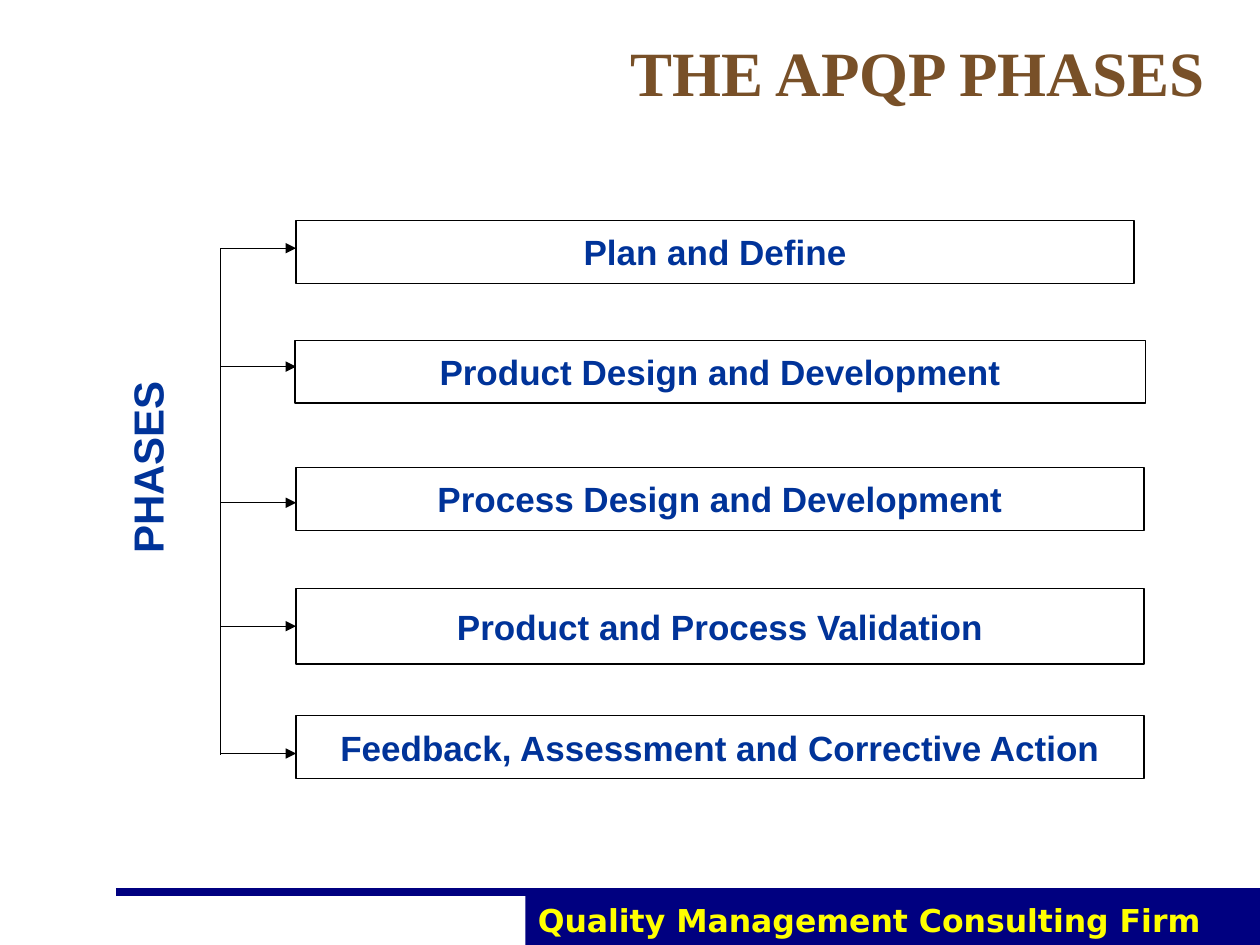
from lxml import etree
from pptx import Presentation
from pptx.dml.color import RGBColor
from pptx.enum import shapes, text
from pptx.oxml.ns import qn
from pptx.util import Inches, Pt

NAVY = RGBColor(0x00, 0x00, 0x80)
BLUE = RGBColor(0x00, 0x33, 0x99)
BROWN = RGBColor(0x78, 0x50, 0x28)
YELLOW = RGBColor(0xFF, 0xFF, 0x00)
WHITE = RGBColor(0xFF, 0xFF, 0xFF)
BLACK = RGBColor(0x00, 0x00, 0x00)


def write(shape, words, face, size, color, align, anchor=text.MSO_ANCHOR.TOP):
    frame = shape.text_frame
    frame.word_wrap = True
    frame.vertical_anchor = anchor
    para = frame.paragraphs[0]
    para.text = words
    para.alignment = align
    para.font.name = face
    para.font.size = Pt(size)
    para.font.bold = True
    para.font.color.rgb = color


def draw(left, top, right, low, color, width, arrow=False):
    line = deck.add_connector(
        shapes.MSO_CONNECTOR.STRAIGHT,
        Inches(left), Inches(top), Inches(right), Inches(low))
    line.line.color.rgb = color
    line.line.width = Pt(width)
    if arrow:
        etree.SubElement(line.line._get_or_add_ln(), qn("a:tailEnd"), type="triangle")
    etree.SubElement(line._element.spPr, qn("a:effectLst"))
    return line


show = Presentation()
show.slide_width = Inches(10)
show.slide_height = Inches(7.5)
deck = show.slides.add_slide(show.slide_layouts[6]).shapes

foot = deck.add_shape(
    shapes.MSO_SHAPE.RECTANGLE, Inches(4.17), Inches(7.1), Inches(5.83), Inches(0.4))
foot.shadow.inherit = False
foot.fill.solid()
foot.fill.fore_color.rgb = NAVY
foot.line.fill.background()
write(foot, "Quality Management Consulting Firm", "DejaVu Sans", 18, YELLOW,
      text.PP_ALIGN.LEFT)
draw(0.92, 7.08, 10, 7.08, NAVY, 5)

title = deck.add_textbox(Inches(0.58), Inches(0.22), Inches(9.08), Inches(0.7))
write(title, "THE APQP PHASES", "Times New Roman", 36, BROWN, text.PP_ALIGN.RIGHT)

phases = [
    ("Plan and Define", 2.35, 1.75, 6.65, 0.5, 1.97),
    ("Product Design and Development", 2.34, 2.7, 6.75, 0.5, 2.91),
    ("Process Design and Development", 2.35, 3.71, 6.73, 0.5, 3.99),
    ("Product and Process Validation", 2.35, 4.67, 6.73, 0.6, 4.97),
    ("Feedback, Assessment and Corrective Action", 2.35, 5.68, 6.73, 0.5, 5.98),
]
for words, left, top, wide, high, level in phases:
    box = deck.add_shape(
        shapes.MSO_SHAPE.RECTANGLE, Inches(left), Inches(top), Inches(wide), Inches(high))
    box.shadow.inherit = False
    box.fill.solid()
    box.fill.fore_color.rgb = WHITE
    box.line.color.rgb = BLACK
    box.line.width = Pt(0.75)
    write(box, words, "Arial", 20, BLUE, text.PP_ALIGN.CENTER, text.MSO_ANCHOR.MIDDLE)
    arrow = draw(1.75, level, 2.35, level, BLACK, 0.75, True)
    if level == round(top + high / 2, 2):
        arrow.end_connect(box, 1)
draw(1.75, 1.97, 1.75, 5.99, BLACK, 0.75)

label = deck.add_textbox(Inches(0.12), Inches(3.46), Inches(2.09), Inches(0.5))
label.rotation = 270
write(label, "PHASES", "Arial", 24, BLUE, text.PP_ALIGN.CENTER)

show.save("out.pptx")
